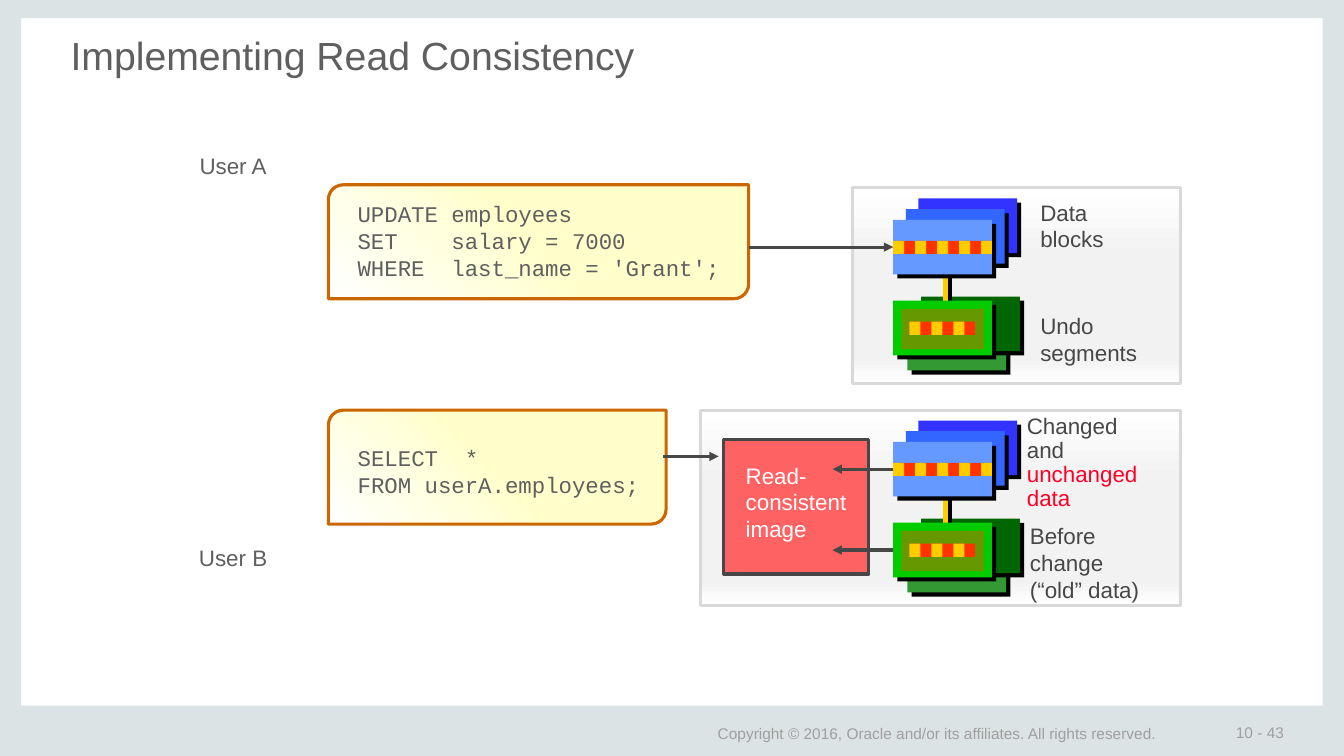
"""Build the slide on implementing read consistency."""
from lxml import etree
from pptx import Presentation
from pptx import util as u
from pptx.dml import color
from pptx.enum import shapes, text
from pptx.oxml import ns

Pt = u.Pt
COLORS = {
    "frame": "DCE3E4", "footer": "9F9F9F", "text": "5F5F5F", "dark": "474747",
    "cream": "FFFFCC", "white": "FFFFFF", "bubble_line": "CC6600",
    "panel": "F2F2F2", "panel_line": "D9D9D9", "image": "FF6262",
    "changed": "FC0128", "data_back": "3333FF", "data_middle": "3366FF",
    "data_front": "6699FF", "undo_back": "006600", "undo_lower": "339933",
    "undo_front": "00CC00", "undo_inner": "669900", "red": "FF3300",
    "yellow": "FFCC00", "shadow": "000000",
}
BUBBLE_STOPS = [(0, "cream"), (50, "cream"), (100, "white")]
PANEL_STOPS = [(0, "white"), (36, "panel"), (87, "panel"), (100, "white")]
RECT = shapes.MSO_SHAPE.RECTANGLE
CELL = 7.84
BLOCK_WIDTH, BLOCK_HEIGHT = 9 * CELL, 39
STACK_LEFT = 638


def rgb(name):
    return color.RGBColor.from_string(COLORS[name])


def child(parent, tag, **attributes):
    return etree.SubElement(parent, ns.qn(tag), **attributes)


def add_shadow(effects):
    shadow = child(effects, "a:outerShdw", blurRad="0", dist=str(Pt(4.2)),
                   dir="2700000", algn="ctr", rotWithShape="0")
    child(shadow, "a:srgbClr", val=COLORS["shadow"])


def add_box(slide, left, top, width, height, fill=None, line=None, shadow=False, kind=RECT):
    box = slide.shapes.add_shape(kind, Pt(left), Pt(top), Pt(width), Pt(height))
    box.shadow.inherit = False
    if fill:
        box.fill.solid()
        box.fill.fore_color.rgb = rgb(fill)
    if line:
        box.line.color.rgb = rgb(line)
        box.line.width = Pt(2.25)
    else:
        box.line.fill.background()
    if shadow:
        add_shadow(box._element.spPr.find(ns.qn("a:effectLst")))
    return box


def add_gradient(box, stops, angle):
    box.fill.gradient()
    box.fill.gradient_angle = angle
    stop_list = box._element.spPr.find(".//" + ns.qn("a:gsLst"))
    for stop in list(stop_list):
        stop_list.remove(stop)
    for percent, name in stops:
        stop = child(stop_list, "a:gs", pos=str(percent * 1000))
        child(stop, "a:srgbClr", val=COLORS[name])


def add_bubble(slide, left, top, width, height):
    bubble = add_box(slide, left, top, width, height, line="bubble_line",
                     kind=shapes.MSO_SHAPE.ROUND_2_DIAG_RECTANGLE)
    bubble.adjustments[0] = 0.13
    bubble.adjustments[1] = 0
    add_gradient(bubble, BUBBLE_STOPS, 225)


def add_panel(slide, left, top, width, height):
    panel = add_box(slide, left, top, width, height, line="panel_line")
    add_gradient(panel, PANEL_STOPS, 270)


def add_label(slide, left, top, width, height, words, ink="dark", size=16,
              font="Arial", insets=(7.2, 3.6), anchor=text.MSO_ANCHOR.TOP, align=None):
    frame = slide.shapes.add_textbox(Pt(left), Pt(top), Pt(width), Pt(height)).text_frame
    frame.word_wrap = True
    frame.vertical_anchor = anchor
    frame.margin_left = frame.margin_right = Pt(insets[0])
    frame.margin_top = frame.margin_bottom = Pt(insets[1])
    paragraph = frame.paragraphs[0]
    paragraph.text = words
    paragraph.alignment = align
    paragraph.font.size = Pt(size)
    paragraph.font.name = font
    paragraph.font.color.rgb = rgb(ink)
    return paragraph


def add_line(slide, start, end, ink="dark", width=2.25, arrow=True, shadow=False):
    line = slide.shapes.add_connector(
        shapes.MSO_CONNECTOR.STRAIGHT, *(Pt(value) for value in (*start, *end)))
    line.line.color.rgb = rgb(ink)
    line.line.width = Pt(width)
    if arrow:
        child(line.line._get_or_add_ln(), "a:tailEnd", type="triangle")
    effects = child(line._element.spPr, "a:effectLst")
    if shadow:
        add_shadow(effects)
    return line


def add_strip(slide, left, top, cells):
    add_box(slide, left, top, cells * CELL, 9.4, "red")
    for cell in range(0, cells, 2):
        add_box(slide, left + cell * CELL, top, CELL, 9.4, "yellow")


def add_stack(slide, top):
    """Draw the data blocks above the undo segments and return both front blocks."""
    def block(x, y, fill):
        return add_box(slide, STACK_LEFT + x, top + y, BLOCK_WIDTH, BLOCK_HEIGHT,
                       fill, shadow=True)

    block(18, -15.2, "data_back")
    block(9, -7.6, "data_middle")
    block(10.2, 68.6, "undo_lower")
    block(20, 54.9, "undo_back")
    link = STACK_LEFT + 37.4
    add_line(slide, (link, top + 32.4), (link, top + 65.5), "yellow", 4,
             arrow=False, shadow=True)
    data = block(0, 0, "data_front")
    add_strip(slide, STACK_LEFT, top + 15, 9)
    undo = block(0, 57.8, "undo_front")
    add_box(slide, STACK_LEFT + 5.8, top + 63.6, 59, 28.8, "undo_inner")
    add_strip(slide, STACK_LEFT + 11.6, top + 72.8, 6)
    return data, undo


def add_frame(slide):
    for left, top, width, height in ((944.8, 0, 15.2, 540), (0, 0, 15.2, 540),
                                     (0, 504, 960, 36), (0, 0, 960, 13)):
        add_box(slide, left, top, width, height, "frame")
    footer = dict(ink="footer", size=11, insets=(9.4, 5), anchor=text.MSO_ANCHOR.MIDDLE)
    add_label(slide, 873.4, 516.2, 85, 14.4, "10 - 43", **footer)
    add_label(slide, 503.3, 516.2, 384.5, 15.8,
              "Copyright © 2016, Oracle and/or its affiliates. All rights reserved.", **footer)


def main():
    deck = Presentation()
    deck.slide_width, deck.slide_height = Pt(960), Pt(540)
    slide = deck.slides.add_slide(deck.slide_layouts[6])
    add_frame(slide)
    add_label(slide, 49, 21, 862, 69, "Implementing Read Consistency", "text", 28,
              insets=(1.4, 1.4))

    code = dict(ink="text", font="Courier New")
    user = dict(ink="text", align=text.PP_ALIGN.CENTER)
    add_label(slide, 110, 105, 113, 26.6, "User A", **user)
    add_bubble(slide, 234.6, 132, 300.2, 81.4)
    add_label(slide, 248.4, 139.6, 312.5, 65,
              "UPDATE employees\nSET    salary = 7000\nWHERE  last_name = 'Grant';", **code)
    add_panel(slide, 609, 134, 234.4, 139.7)
    updated_data, _ = add_stack(slide, 157)
    add_label(slide, 736, 138.4, 113, 46, "Data\nblocks")
    add_label(slide, 736, 219.6, 113, 46, "Undo\nsegments")
    row = 157 + BLOCK_HEIGHT / 2
    update_arrow = add_line(slide, (535, row), (STACK_LEFT, row))
    update_arrow.end_connect(updated_data, 1)

    add_label(slide, 110, 385.2, 113, 26.6, "User B", **user)
    add_bubble(slide, 234.6, 293, 241.2, 81.4)
    add_label(slide, 248.4, 313.8, 222.5, 46, "SELECT  *\nFROM userA.employees;", **code)
    add_panel(slide, 500.4, 293, 343, 139.7)
    add_box(slide, 517, 314, 103.7, 96, "image", "dark")
    add_label(slide, 525.6, 326.2, 125.3, 65, "Read-\nconsistent\nimage", "white")
    add_line(slide, (473.8, 326), (513.4, 326))
    for source in add_stack(slide, 315.6):
        row = source.top.pt + BLOCK_HEIGHT / 2
        read_arrow = add_line(slide, (STACK_LEFT, row), (594.7, row))
        read_arrow.begin_connect(source, 1)
    changed = add_label(slide, 726.4, 293, 116, 77, "Changed\nand ")
    changed.line_spacing = 0.9
    unchanged = changed.add_run()
    unchanged.text = "unchanged data"
    unchanged.font.color.rgb = rgb("changed")
    add_label(slide, 728.6, 369.4, 113.8, 65.5, "Before change\n(“old” data)")
    deck.save("out.pptx")


if __name__ == "__main__":
    main()
